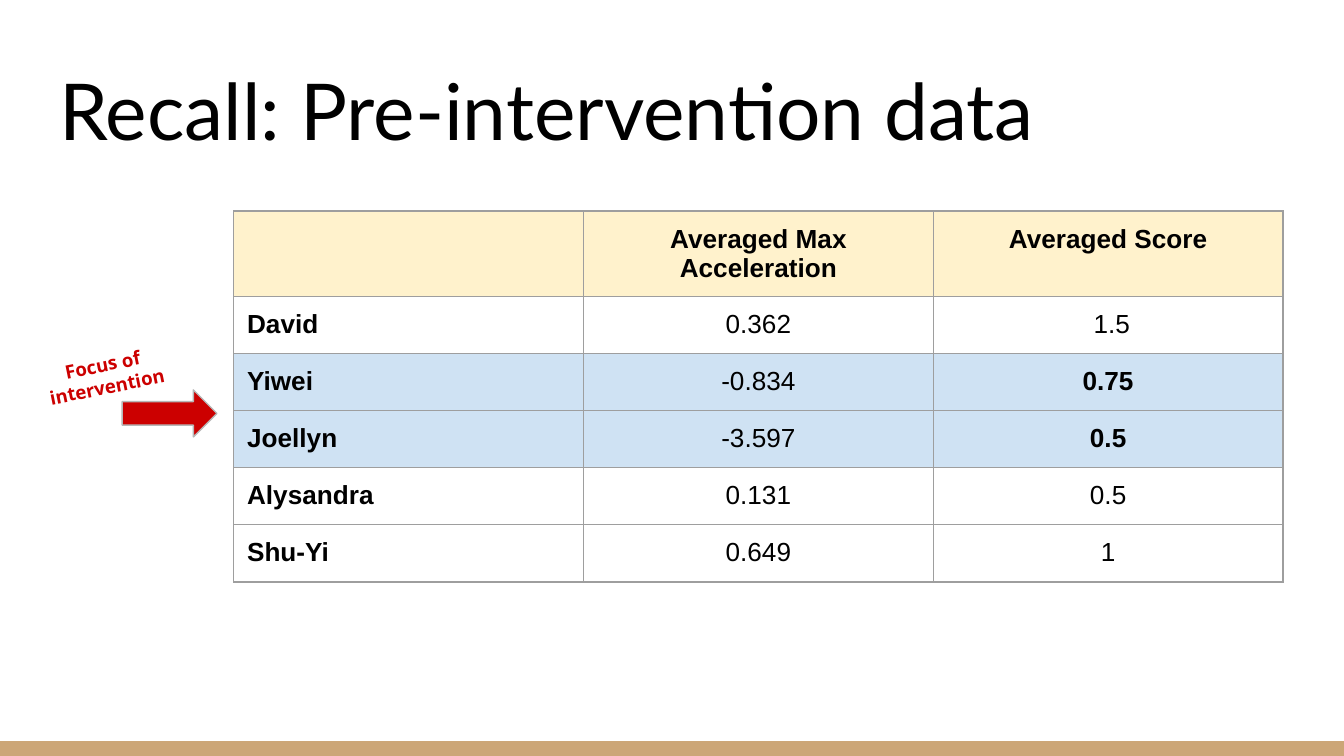
from lxml.etree import SubElement
from pptx import Presentation
from pptx.dml.color import RGBColor
from pptx.enum.shapes import MSO_SHAPE
from pptx.enum.text import MSO_ANCHOR, PP_ALIGN
from pptx.oxml import parse_xml
from pptx.oxml.ns import nsdecls, qn
from pptx.util import Cm, Pt

HEADER_FILL = "FFF2CC"
FOCUS_FILL = "CFE2F3"
GRID = "9E9E9E"
RED = "CC0000"
HEADINGS = ["", "Averaged Max Acceleration", "Averaged Score"]
SCORES = [
    ("David", "0.362", " 1.5"),
    ("Yiwei", "-0.834", "0.75"),
    ("Joellyn", "-3.597", "0.5"),
    ("Alysandra", "0.131", "0.5"),
    ("Shu-Yi", "0.649", "1"),
]
FOCUS_NAMES = {"Yiwei", "Joellyn"}


def colour(value):
    """Turn a hex string into a colour."""
    return RGBColor.from_string(value)


def write(frame, text, font, size, ink="000000", bold=False, align=PP_ALIGN.LEFT):
    """Write one formatted run into a text frame with even insets."""
    frame.word_wrap = True
    frame.margin_left = frame.margin_right = Cm(0.25)
    frame.margin_top = frame.margin_bottom = Cm(0.25)
    para = frame.paragraphs[0]
    para.alignment = align
    span = para.add_run()
    span.text = text
    span.font.name = font
    span.font.size = Pt(size)
    span.font.bold = bold
    span.font.color.rgb = colour(ink)


def add_solid(page, kind, box, fill, line=None):
    """Add a flat filled shape with an optional thin outline."""
    shape = page.shapes.add_shape(kind, *map(Cm, box))
    shape.shadow.inherit = False
    shape.fill.solid()
    shape.fill.fore_color.rgb = colour(fill)
    if line:
        shape.line.color.rgb = colour(line)
        shape.line.width = Pt(0.75)
    else:
        shape.line.fill.background()


def place_title(page, box, text):
    """Move and fill the title placeholder."""
    title = page.shapes.title
    title.left, title.top, title.width, title.height = map(Cm, box)
    title.text_frame.vertical_anchor = MSO_ANCHOR.BOTTOM
    write(title.text_frame, text, "Lato", 42)


def add_borders(cell):
    """Draw thin grey lines on all sides of a cell."""
    properties = cell._tc.get_or_add_tcPr()
    for index, side in enumerate(("lnL", "lnR", "lnT", "lnB")):
        border = parse_xml(f'<a:{side} {nsdecls("a")} w="{Pt(0.75)}"/>')
        fill = SubElement(border, qn("a:solidFill"))
        SubElement(fill, qn("a:srgbClr"), val=GRID)
        properties.insert(index, border)


def fill_cell(cell, text, fill, bold, align):
    """Write, fill and frame one table cell."""
    write(cell.text_frame, text, "Arial", 14, bold=bold, align=align)
    cell.margin_left = cell.margin_right = Cm(0.25)
    cell.margin_top = cell.margin_bottom = Cm(0.25)
    if fill:
        cell.fill.solid()
        cell.fill.fore_color.rgb = colour(fill)
    else:
        cell.fill.background()
    add_borders(cell)


def place_score_table(page, box):
    """Build the table of averages, with the focus rows tinted."""
    rows = [HEADINGS, *SCORES]
    table = page.shapes.add_table(len(rows), len(HEADINGS), *map(Cm, box)).table
    table.first_row = table.horz_banding = False
    for row_index, row in enumerate(rows):
        header, focus = row_index == 0, row[0] in FOCUS_NAMES
        fill = HEADER_FILL if header else FOCUS_FILL if focus else None
        for column, text in enumerate(row):
            bold = header or column == 0 or (focus and column == 2)
            align = PP_ALIGN.CENTER if column else PP_ALIGN.LEFT
            fill_cell(table.cell(row_index, column), text, fill, bold, align)


def place_focus_note(page, box):
    """Place the red arrow and the tilted note above it."""
    left, top, width, height = box
    arrow = (left + 2, top + 0.94, width - 2, height - 0.94)
    add_solid(page, MSO_SHAPE.RIGHT_ARROW, arrow, RED, "B7B7B7")
    note = page.shapes.add_textbox(Cm(left), Cm(top), Cm(3.25), Cm(0.89))
    note.rotation = 348.6
    write(note.text_frame, "Focus of intervention", "Open Sans", 10, RED, True, PP_ALIGN.CENTER)


def main():
    """Build and save the deck."""
    deck = Presentation()
    deck.slide_width, deck.slide_height = Cm(25.4), Cm(14.29)
    page = deck.slides.add_slide(deck.slide_layouts[5])
    add_solid(page, MSO_SHAPE.RECTANGLE, (0, 14.01, 25.4, 0.28), "CCA677")
    place_title(page, (0.87, 0.9, 23.67, 2.3), "Recall: Pre-intervention data")
    place_score_table(page, (4.42, 3.99, 19.83, 6.48))
    place_focus_note(page, (0.31, 6.43, 3.79, 1.83))
    deck.save("out.pptx")


if __name__ == "__main__":
    main()
